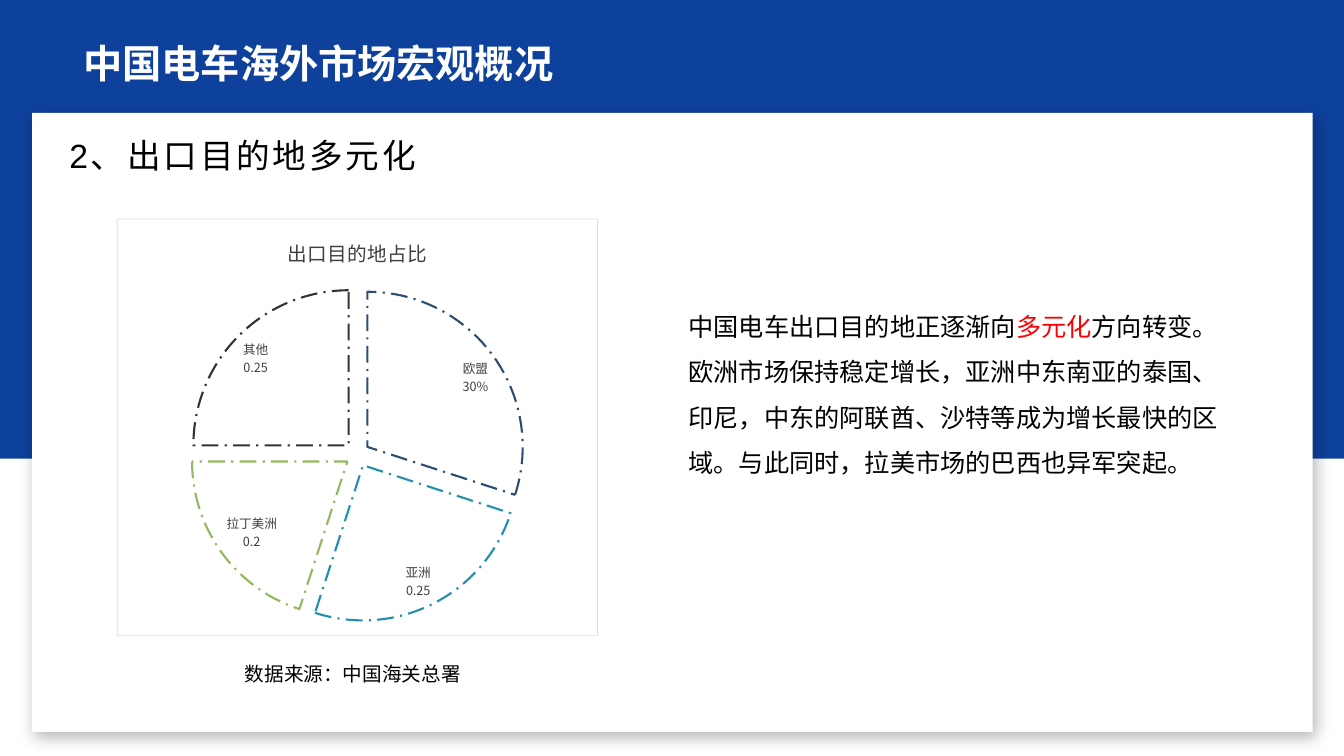
from lxml import etree
from pptx import Presentation
from pptx.chart.data import CategoryChartData
from pptx.dml.color import RGBColor
from pptx.enum.chart import XL_CHART_TYPE as ChartType, XL_LABEL_POSITION as LabelPos
from pptx.enum.dml import MSO_LINE_DASH_STYLE as Dash
from pptx.enum.shapes import MSO_SHAPE as Shape
from pptx.enum.text import MSO_ANCHOR as Anchor
from pptx.oxml import parse_xml
from pptx.oxml.ns import nsdecls, qn
from pptx.util import Inches, Pt

LATIN, CJK = "Arial", "Noto Sans CJK SC"
BLUE, WHITE, BLACK, RED, GRAY = "0E419C", "FFFFFF", "000000", "FF0000", "404040"
DESTINATIONS = [("欧盟", 0.3, "2B4E72"), ("亚洲", 0.25, "228FAF"),
                ("拉丁美洲", 0.2, "92B862"), ("其他", 0.25, "333333")]


def rgb(color):
    return RGBColor.from_string(color)


def style_font(font, size, color, name=CJK, bold=False):
    font.size, font.name, font.bold = Pt(size), name, bold
    font.color.rgb = rgb(color)


def add_text(slide, box, paragraphs, size, color=BLACK, font=LATIN, bold=False,
             line=None, spacing=None, anchor=Anchor.TOP):
    """Each paragraph is a list of (text, color or None) runs."""
    tf = slide.shapes.add_textbox(*map(Inches, box)).text_frame
    tf.word_wrap = True
    tf.vertical_anchor = anchor
    for i, runs in enumerate(paragraphs):
        p = tf.paragraphs[0] if i == 0 else tf.add_paragraph()
        if line:
            p.line_spacing = line
        for text, run_color in runs:
            r = p.add_run()
            r.text = text
            style_font(r.font, size, run_color or color, font, bold)
            rPr = r.font._element
            if spacing:
                rPr.set("spc", str(spacing * 100))
            etree.SubElement(rPr, qn("a:ea")).set("typeface", CJK)


def add_rect(slide, box, color):
    s = slide.shapes.add_shape(Shape.RECTANGLE, *map(Inches, box))
    s.shadow.inherit = False
    s.fill.solid()
    s.fill.fore_color.rgb = rgb(color)
    s.line.fill.background()
    return s


def add_card(slide, box):
    card = add_rect(slide, box, WHITE)
    effects = card._element.spPr.find(qn("a:effectLst"))
    effects.append(parse_xml(
        f'<a:outerShdw {nsdecls("a")} blurRad="{Pt(11)}" dist="{Pt(5)}" '
        f'dir="{65 * 60000}" algn="t" rotWithShape="0"><a:srgbClr val="{BLACK}">'
        '<a:alpha val="28000"/></a:srgbClr></a:outerShdw>'))


def add_header(slide, box):
    x, y, w, h = box
    add_rect(slide, box, BLUE)
    add_card(slide, (x + 0.32, y + 1.12, w - 0.63, 6.14))
    add_text(slide, (x + 0.73, y + 0.27, 11.87, 0.64),
             [[("中国电车海外市场宏观概况", None)]], 28, color=WHITE, bold=True,
             line=0.9, anchor=Anchor.BOTTOM)
    add_text(slide, (x + 0.59, y + 1.29, 6.67, 0.5),
             [[("2、出口目的地多元化", None)]], 24, spacing=2)


def frame_chart(chart):
    chart._chartSpace.find(qn("c:chart")).addnext(parse_xml(
        f'<c:spPr {nsdecls("c", "a")}><a:solidFill><a:srgbClr val="{WHITE}"/></a:solidFill>'
        f'<a:ln w="{Pt(0.5)}"><a:solidFill><a:srgbClr val="808080"><a:alpha val="25000"/>'
        '</a:srgbClr></a:solidFill></a:ln></c:spPr>'))


def label_slices(plot, series):
    plot.has_data_labels = True
    labels = series.data_labels
    labels.show_category_name = labels.show_value = True
    labels.show_percentage = labels.show_legend_key = False
    labels.position = LabelPos.INSIDE_END
    labels.number_format, labels.number_format_is_linked = "General", False
    style_font(labels.font, 9, GRAY)
    # Category and value on separate lines
    separator = parse_xml(f'<c:separator {nsdecls("c")}>\n</c:separator>')
    labels._element.find(qn("c:showPercent")).addnext(separator)
    bubble = labels._element.find(qn("c:showBubbleSize"))
    if bubble is not None:
        bubble.addnext(separator)
    # The first slice shows its value as a percentage
    name, value, _ = DESTINATIONS[0]
    label = series.points[0].data_label
    label.text_frame.text = f"{name}\n{value:.0%}"
    for p in label.text_frame.paragraphs:
        style_font(p.runs[0].font, 9, GRAY)
    label.position = LabelPos.INSIDE_END


def add_destination_chart(slide, box):
    x, y, w, h = box
    data = CategoryChartData()
    data.categories = [name for name, _, _ in DESTINATIONS]
    data.add_series("Series 1", [value for _, value, _ in DESTINATIONS])
    chart = slide.shapes.add_chart(ChartType.PIE, *map(Inches, box), data).chart
    style_font(chart.font, 10, GRAY)
    chart.has_legend = False
    chart.has_title = True
    title = chart.chart_title.text_frame
    title.text = "出口目的地占比"
    style_font(title.paragraphs[0].runs[0].font, 14, GRAY)
    frame_chart(chart)

    # Outlined, exploded slices
    plot = chart.plots[0]
    plot.vary_by_categories = True
    series = plot.series[0]
    series.format.line.width = Pt(1.5)
    series._element.find(qn("c:spPr")).addnext(
        parse_xml(f'<c:explosion {nsdecls("c")} val="8"/>'))
    for i, (_, _, color) in enumerate(DESTINATIONS):
        fmt = series.points[i].format
        fmt.fill.background()
        fmt.line.color.rgb = rgb(color)
        fmt.line.width = Pt(1.5)
        fmt.line.dash_style = Dash.LONG_DASH_DOT
        series.points[i]._element.findall(qn("c:dPt"))[i].find(qn("c:spPr")).addprevious(
            parse_xml(f'<c:explosion {nsdecls("c")} val="8"/>'))
    label_slices(plot, series)

    add_text(slide, (x + 1.17, y + h + 0.21, 2.43, 0.34),
             [[("数据来源：中国海关总署", None)]], 14, font=CJK)


def add_commentary(slide, box):
    add_text(slide, box, [
        [("中国电车出口目的地正逐渐向", None), ("多元化", RED), ("方向转变。", None)],
        [("欧洲市场保持稳定增长，亚洲中东南亚的泰国、印尼，中东的阿联酋、沙特等成为"
          "增长最快的区域。与此同时，拉美市场的巴西也异军突起。", None)],
    ], 18, line=1.5)


def main():
    prs = Presentation()
    prs.slide_width, prs.slide_height = Inches(13.33), Inches(7.5)
    slide = prs.slides.add_slide(prs.slide_layouts[6])
    add_header(slide, (0, 0, 13.33, 4.55))
    add_commentary(slide, (6.73, 2.89, 5.69, 1.92))
    add_destination_chart(slide, (1.16, 2.17, 4.77, 4.14))
    prs.save("out.pptx")


if __name__ == "__main__":
    main()
